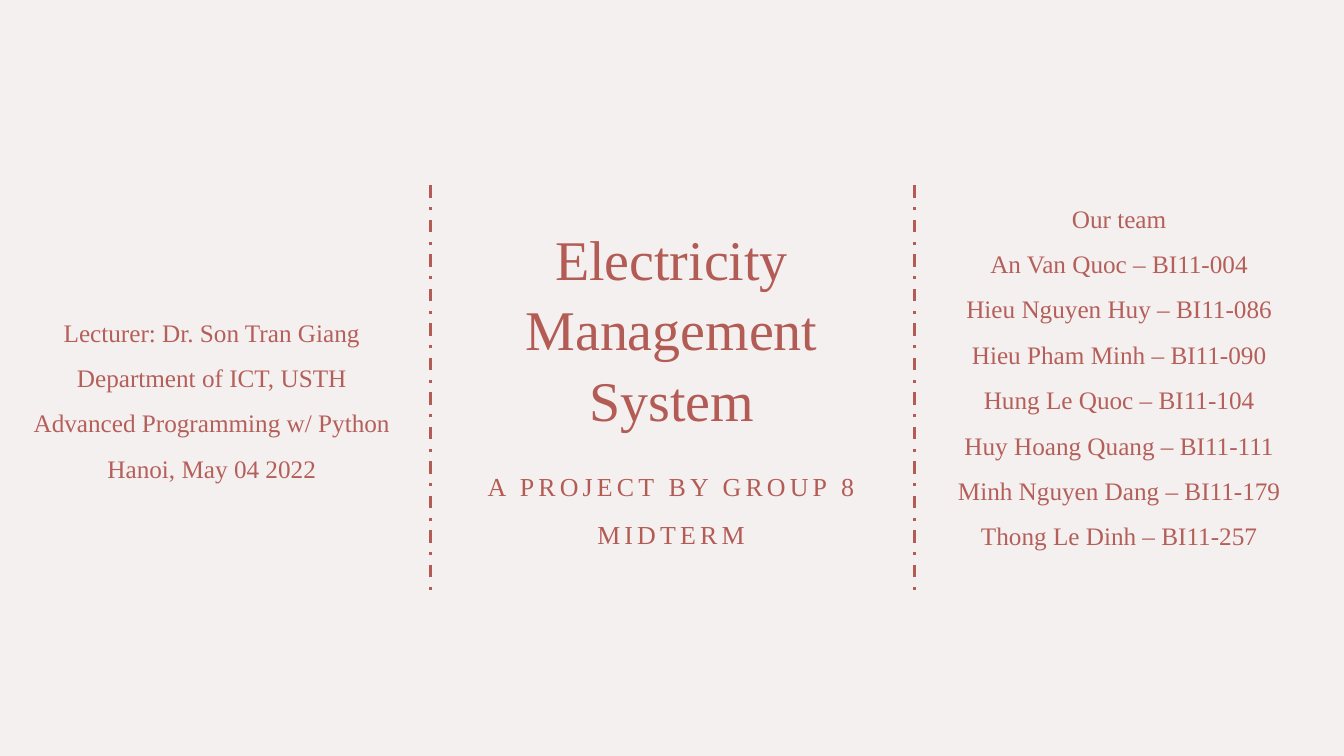
"""Build the title slide of the Electricity Management System project."""
from dataclasses import dataclass

from lxml import etree
from pptx import Presentation
from pptx import util as u
from pptx.dml import color
from pptx.enum import dml, shapes, text
from pptx.oxml import ns

COLORS = {"background": "F4F0EF", "accent": "B35B55", "panel_text": "B55F5A"}
FONT = "Times New Roman"
WIDTH, HEIGHT = u.Inches(13.33), u.Inches(7.5)


@dataclass(frozen=True)
class Area:
    """Hold a place as percentages of the slide's width and height."""
    left: float
    top: float
    width: float
    height: float


@dataclass(frozen=True)
class Panel:
    """Hold one side panel and the space kept free under its lines."""
    area: Area
    lines: tuple[str, ...]
    bottom_inset: float = 0.05


TITLE_AREA = Area(37.06, 26.67, 25.81, 31.2)
SUBTITLE_AREA = Area(34.96, 61.2, 29.93, 13.87)
DIVIDER_COLUMNS = (32.03, 68.04)
DIVIDER_ROWS = (24.53, 78.53)
PANELS = (
    Panel(
        Area(68.04, 21.87, 30.46, 60),
        (
            "Our team",
            "An Van Quoc – BI11-004",
            "Hieu Nguyen Huy – BI11-086",
            "Hieu Pham Minh – BI11-090",
            "Hung Le Quoc – BI11-104",
            "Huy Hoang Quang – BI11-111",
            "Minh Nguyen Dang – BI11-179",
            "Thong Le Dinh – BI11-257",
        ),
        bottom_inset=0.5,
    ),
    Panel(
        Area(0.53, 38.13, 30.46, 27.6),
        (
            "Lecturer: Dr. Son Tran Giang",
            "Department of ICT, USTH",
            "Advanced Programming w/ Python",
            "Hanoi, May 04 2022",
        ),
    ),
)


def across(percent: float) -> int:
    """Turn a percentage of the slide's width into a length."""
    return round(WIDTH * percent / 100)


def down(percent: float) -> int:
    """Turn a percentage of the slide's height into a length."""
    return round(HEIGHT * percent / 100)


def bounds(area: Area) -> tuple[int, int, int, int]:
    """Return left, top, width and height as lengths."""
    return across(area.left), down(area.top), across(area.width), down(area.height)


def rgb(name: str) -> color.RGBColor:
    """Look up a named colour."""
    return color.RGBColor.from_string(COLORS[name])


def write(holder, lines: tuple[str, ...], *, size: float, ink: str = "accent",
          anchor=text.MSO_ANCHOR.TOP, line_spacing: float = 1.0,
          space_before: float = 0, tracking: float = 0) -> None:
    """Write centred lines into a shape with the given format."""
    frame = holder.text_frame
    frame.text = "\n".join(lines)
    frame.word_wrap = True
    frame.auto_size = text.MSO_AUTO_SIZE.NONE
    frame.vertical_anchor = anchor
    for paragraph in frame.paragraphs:
        paragraph.alignment = text.PP_ALIGN.CENTER
        paragraph.line_spacing = line_spacing
        paragraph.space_before = u.Pt(space_before)
        for run in paragraph.runs:
            run.font.name = FONT
            run.font.size = u.Pt(size)
            run.font.color.rgb = rgb(ink)
            if tracking:
                run.font._element.set("spc", str(round(tracking * 100)))


def place(placeholder, area: Area) -> None:
    """Move a placeholder to an area."""
    (placeholder.left, placeholder.top,
     placeholder.width, placeholder.height) = bounds(area)


def draw_panel(slide, panel: Panel) -> None:
    """Draw one rounded side panel with its lines."""
    box = slide.shapes.add_shape(
        shapes.MSO_SHAPE.ROUNDED_RECTANGLE, *bounds(panel.area))
    box.shadow.inherit = False
    box.fill.solid()
    box.fill.fore_color.rgb = rgb("background")
    box.line.fill.background()
    write(box, panel.lines, size=18, ink="panel_text",
          anchor=text.MSO_ANCHOR.MIDDLE, line_spacing=1.5)
    box.text_frame.margin_bottom = u.Inches(panel.bottom_inset)


def draw_divider(slide, column: float) -> None:
    """Draw one vertical dash-dot line."""
    top, bottom = map(down, DIVIDER_ROWS)
    divider = slide.shapes.add_connector(
        shapes.MSO_CONNECTOR.STRAIGHT, across(column), top, across(column), bottom)
    divider.line.color.rgb = rgb("accent")
    divider.line.width = u.Pt(2.25)
    divider.line.dash_style = dml.MSO_LINE.DASH_DOT
    etree.SubElement(divider._element.spPr, ns.qn("a:effectLst"))


def main() -> None:
    """Build and save the slide."""
    deck = Presentation()
    deck.slide_width, deck.slide_height = WIDTH, HEIGHT
    slide = deck.slides.add_slide(deck.slide_layouts[0])
    slide.background.fill.solid()
    slide.background.fill.fore_color.rgb = rgb("background")

    title, subtitle = slide.placeholders
    place(title, TITLE_AREA)
    write(title, ("Electricity Management System",), size=40,
          anchor=text.MSO_ANCHOR.BOTTOM, line_spacing=1.05)
    place(subtitle, SUBTITLE_AREA)
    write(subtitle, ("A PROJECT BY GROUP 8", "MIDTERM"), size=18.5,
          line_spacing=1.1, space_before=10, tracking=3)

    for panel in PANELS:
        draw_panel(slide, panel)
    for column in DIVIDER_COLUMNS:
        draw_divider(slide, column)
    deck.save("out.pptx")


if __name__ == "__main__":
    main()
